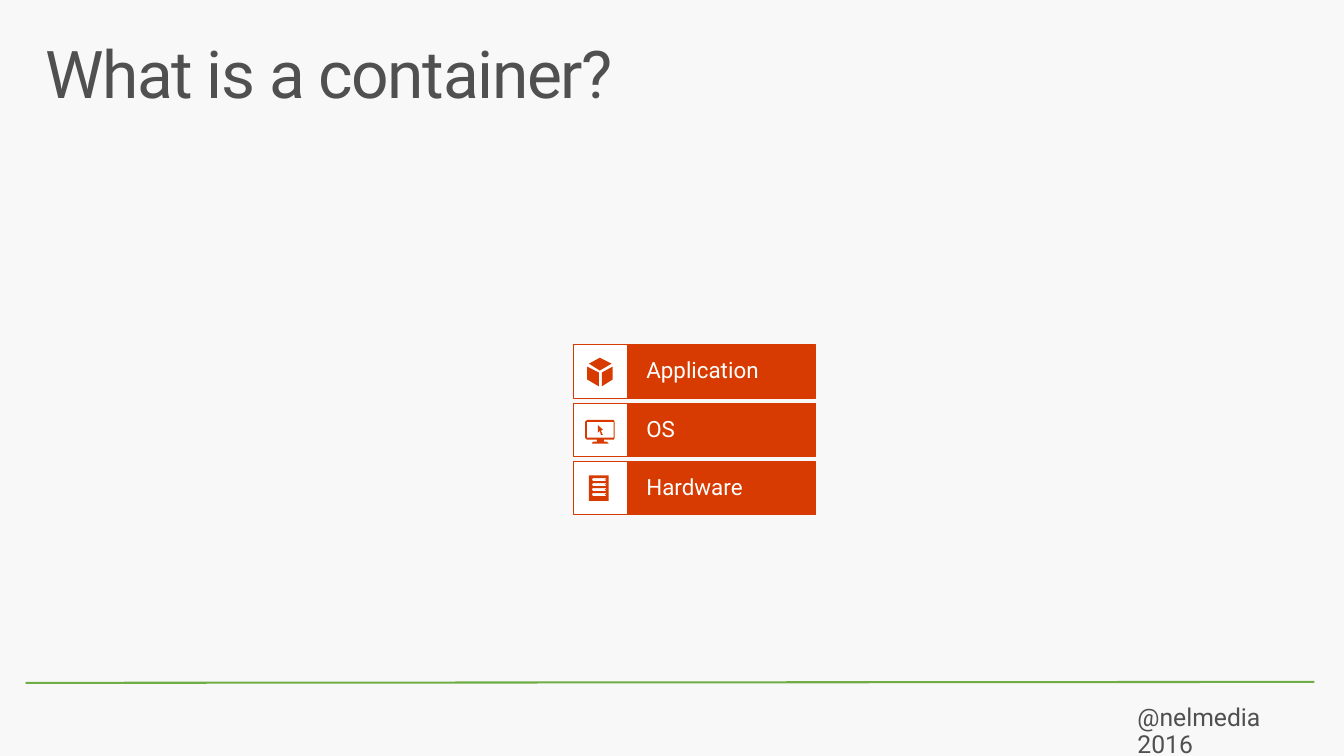
from dataclasses import dataclass

from lxml import etree
from pptx import Presentation
from pptx import util as u
from pptx.dml.color import RGBColor
from pptx.enum import shapes, text
from pptx.oxml import ns


@dataclass(frozen=True)
class Theme:
    font: str = "Roboto"
    background: str = "F8F8F8"
    ink: str = "505050"
    accent: str = "D83B01"
    rule: str = "70AD47"
    white: str = "FFFFFF"
    title_size: float = 48
    footer_size: float = 18
    label_size: float = 16.3
    rule_width: float = 1.5
    border_width: float = 0.85


class SlideBuilder:
    def __init__(self, page, theme):
        self.page = page
        self.theme = theme
        fill = page.background.fill
        fill.solid()
        fill.fore_color.rgb = RGBColor.from_string(theme.background)

    def paint(self, shape, color, bordered=False):
        shape.shadow.inherit = False
        shape.fill.solid()
        shape.fill.fore_color.rgb = RGBColor.from_string(color)
        if bordered:
            shape.line.color.rgb = RGBColor.from_string(self.theme.accent)
            shape.line.width = u.Pt(self.theme.border_width)
        else:
            shape.line.fill.background()

    def put_text(self, shape, words, size, color, inset, spacing=None):
        frame = shape.text_frame
        frame.word_wrap = True
        frame.margin_left = frame.margin_right = u.Inches(inset[0])
        frame.margin_top = frame.margin_bottom = u.Inches(inset[1])
        para = frame.paragraphs[0]
        para.alignment = text.PP_ALIGN.LEFT
        para.line_spacing = 0.9
        span = para.add_run()
        span.text = words
        span.font.name = self.theme.font
        span.font.size = u.Pt(size)
        span.font.color.rgb = RGBColor.from_string(color)
        if spacing is not None:
            span.font._element.set("spc", str(spacing * 100))

    def text_box(self, words, bounds, size, inset, spacing=None):
        box = self.page.shapes.add_textbox(*map(u.Inches, bounds))
        box.text_frame.vertical_anchor = text.MSO_ANCHOR.TOP
        self.put_text(box, words, size, self.theme.ink, inset, spacing)

    def rule(self, start, end):
        line = self.page.shapes.add_connector(
            shapes.MSO_CONNECTOR.STRAIGHT, *map(u.Inches, start + end))
        line.line.color.rgb = RGBColor.from_string(self.theme.rule)
        line.line.width = u.Pt(self.theme.rule_width)
        etree.SubElement(line._element.spPr, ns.qn("a:effectLst"))

    def label(self, words, bounds):
        bar = self.page.shapes.add_shape(
            shapes.MSO_SHAPE.RECTANGLE, *map(u.Inches, bounds))
        self.paint(bar, self.theme.accent, bordered=True)
        bar.text_frame.vertical_anchor = text.MSO_ANCHOR.MIDDLE
        self.put_text(bar, words, self.theme.label_size, self.theme.white,
                      (0.2, 0.16))

    def outline(self, group, contours, left, top):
        placed = [[(u.Inches(left + x), u.Inches(top + y)) for x, y in contour]
                  for contour in contours]
        builder = group.shapes.build_freeform(*placed[0][0])
        for index, contour in enumerate(placed):
            if index:
                builder.move_to(*contour[0])
            builder.add_line_segments(contour[1:], close=True)
        self.paint(builder.convert_to_shape(), self.theme.accent)

    def icon_tile(self, bounds, outlines, dots):
        left, top = bounds[:2]
        group = self.page.shapes.add_group_shape()
        tile = group.shapes.add_shape(
            shapes.MSO_SHAPE.RECTANGLE, *map(u.Inches, bounds))
        self.paint(tile, self.theme.white, bordered=True)
        for contours in outlines:
            self.outline(group, contours, left, top)
        for x, y, width, height in dots:
            dot = group.shapes.add_shape(
                shapes.MSO_SHAPE.OVAL,
                *map(u.Inches, (left + x, top + y, width, height)))
            self.paint(dot, self.theme.accent)


def rectangle(left, top, right, bottom):
    return [(left, top), (right, top), (right, bottom), (left, bottom)]


def slot(top):
    return [(0.2, top), (0.33, top), (0.34, top + 0.01), (0.33, top + 0.03),
            (0.2, top + 0.03), (0.19, top + 0.01)]


CUBE = [
    [[(0.26, 0.28), (0.26, 0.42), (0.14, 0.35), (0.14, 0.22)]],
    [[(0.29, 0.28), (0.29, 0.42), (0.4, 0.35), (0.4, 0.22)]],
    [[(0.27, 0.26), (0.16, 0.19), (0.27, 0.13), (0.39, 0.19)]],
]
MONITOR = [
    [[(0.14, 0.17), (0.41, 0.17), (0.42, 0.19), (0.42, 0.35), (0.41, 0.37),
      (0.31, 0.37), (0.31, 0.39), (0.34, 0.39), (0.36, 0.41), (0.19, 0.41),
      (0.2, 0.39), (0.24, 0.39), (0.24, 0.37), (0.14, 0.37), (0.12, 0.35),
      (0.12, 0.19)],
     rectangle(0.14, 0.19, 0.41, 0.35)],
    [[(0.25, 0.22), (0.3, 0.27), (0.28, 0.28), (0.3, 0.32), (0.28, 0.32),
      (0.27, 0.28), (0.25, 0.3)]],
]
SLOT_TOPS = [0.17 + 0.05 * row for row in range(4)]
SERVER = [[rectangle(0.16, 0.14, 0.36, 0.4)] + [slot(top) for top in SLOT_TOPS]]
SERVER_LIGHTS = [(0.32, top + 0.01, 0.02, 0.01) for top in SLOT_TOPS]

LAYERS = [("Application", CUBE, []), ("OS", MONITOR, []),
          ("Hardware", SERVER, SERVER_LIGHTS)]


def main():
    deck = Presentation()
    deck.slide_width = u.Inches(13.6)
    deck.slide_height = u.Inches(7.65)
    theme = Theme()
    builder = SlideBuilder(deck.slides.add_slide(deck.slide_layouts[6]), theme)
    builder.rule((0.26, 6.91), (13.3, 6.9))
    builder.text_box("@nelmedia 2016", (11.31, 6.98, 2.16, 0.6),
                     theme.footer_size, (0.2, 0.16))
    builder.text_box("What is a container?", (0.3, 0.32, 13, 1),
                     theme.title_size, (0.16, 0.1), spacing=-1)
    for row, (words, outlines, dots) in enumerate(LAYERS):
        top = 3.49 + 0.59 * row
        builder.label(words, (6.34, top, 1.91, 0.54))
        builder.icon_tile((5.8, top, 0.55, 0.54), outlines, dots)
    deck.save("out.pptx")


if __name__ == "__main__":
    main()
